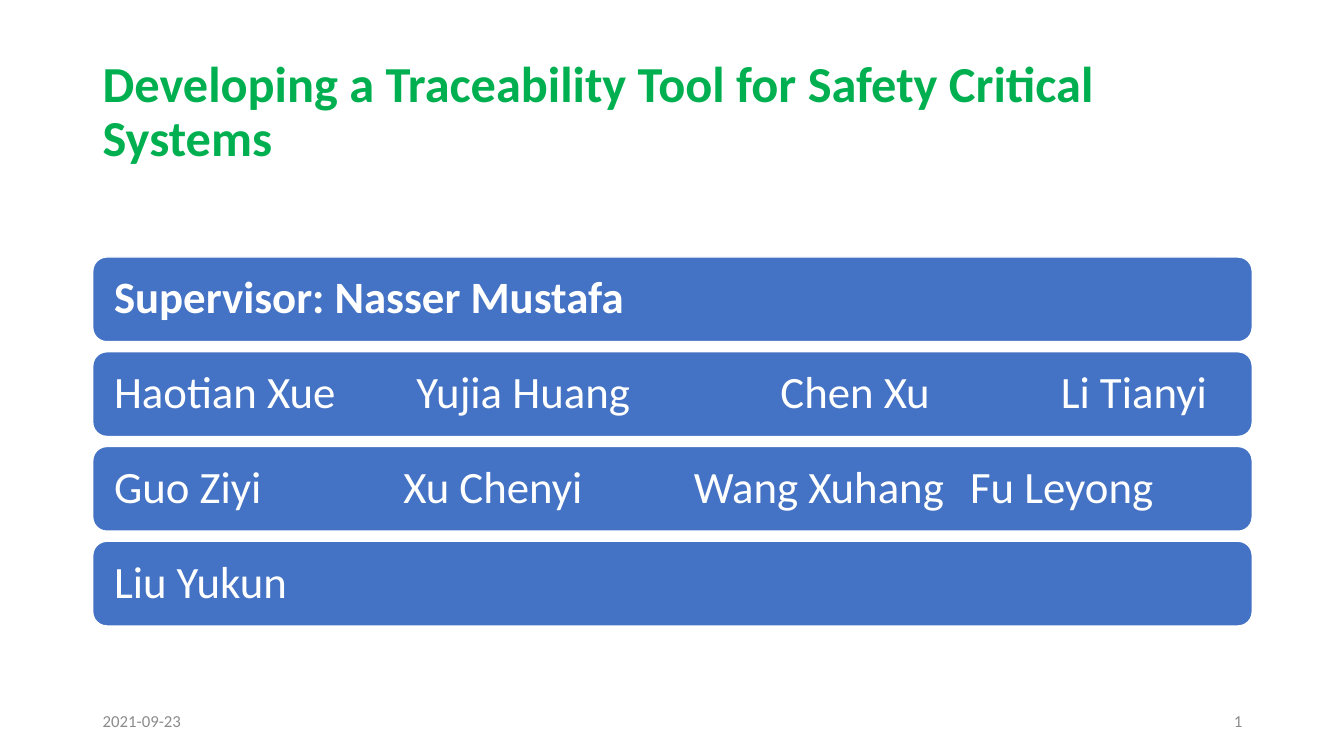
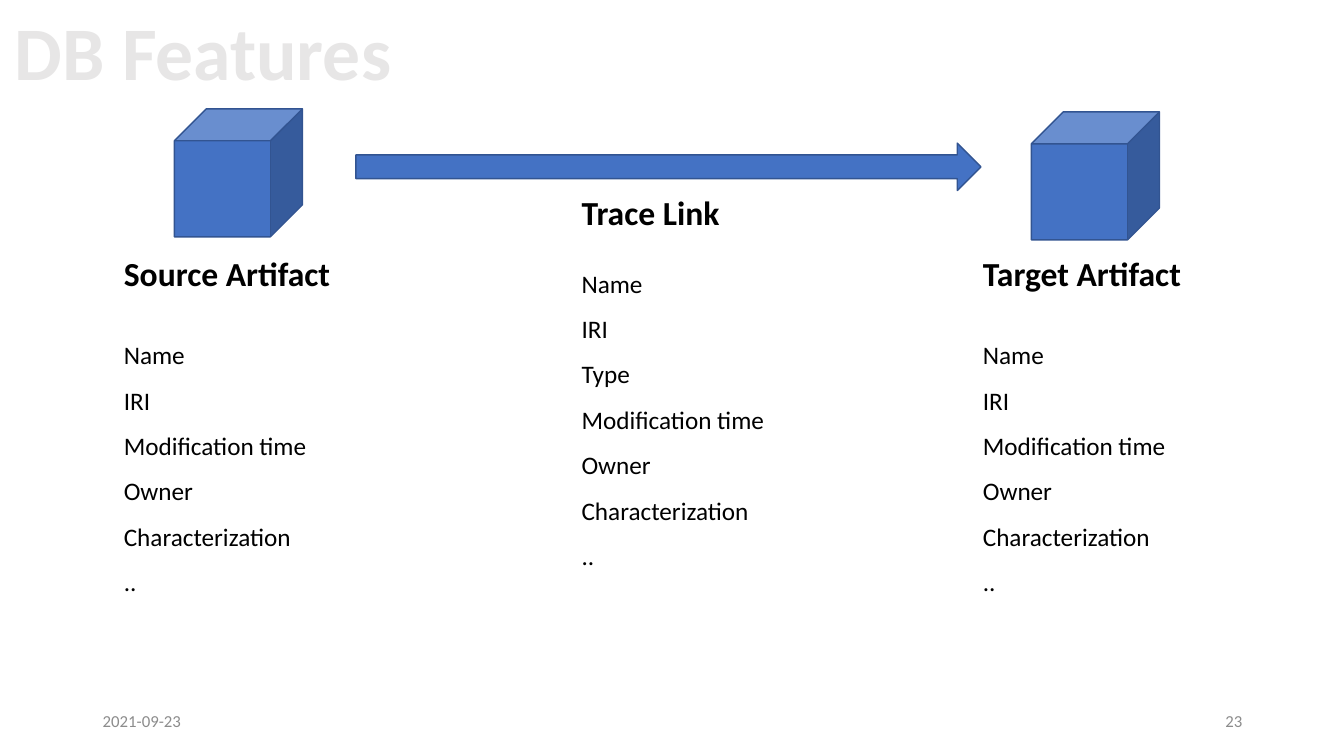
from dataclasses import dataclass

from lxml.etree import SubElement
from pptx import Presentation
from pptx.dml.color import RGBColor
from pptx.enum.shapes import MSO_SHAPE
from pptx.enum.text import MSO_ANCHOR, PP_ALIGN
from pptx.oxml.ns import qn
from pptx.util import Inches, Pt


@dataclass(frozen=True)
class Theme:
    font: str = "Calibri"
    blue: str = "4472C4"
    edge: str = "325491"
    white: str = "FFFFFF"
    title: tuple = (36, "00B050", True)
    banner: tuple = (54, "E7E6E6", True)
    lead: tuple = (32, "FFFFFF", True)
    member: tuple = (32, "FFFFFF", False)
    head: tuple = (24, "000000", True)
    field: tuple = (18, "000000", False)
    foot: tuple = (12, "8C8C8C", False)


THEME = Theme()
WIDE, HIGH = 13.33, 7.5
EDGE, SPAN = 0.92, 11.5
DATE = "2021-09-23"

TITLE = "Developing a Traceability Tool for Safety Critical Systems"
# Names in a bar, then the tab stops (inches) of all but the first name
TEAM = [
    (THEME.lead, ["Supervisor: Nasser Mustafa"], []),
    (THEME.member, ["Haotian Xue", "Yujia Huang", "Chen Xu", "Li Tianyi"],
     [3, 6.61, 9.39]),
    (THEME.member, ["Guo Ziyi", "Xu Chenyi", "Wang Xuhang", "Fu Leyong"],
     [2.87, 5.75, 8.49]),
    (THEME.member, ["Liu Yukun"], []),
]
BAR = {"top": 2.55, "high": 0.84, "step": 0.94}

BANNER = "DB Features"
FIELDS = ["Name", "IRI", "Modification time", "Owner", "Characterization", ".."]
LINK = FIELDS[:2] + ["Type"] + FIELDS[2:]
# Heading, left, heading top, list top, list
LISTS = [
    ("Source Artifact", 1.13, 2.46, 3.17, FIELDS),
    ("Trace Link", 5.67, 1.85, 2.46, LINK),
    ("Target Artifact", 9.65, 2.46, 3.17, FIELDS),
]
SHAPES = [
    (MSO_SHAPE.CUBE, (1.73, 1.08, 1.27, 1.27)),
    (MSO_SHAPE.RIGHT_ARROW, (3.53, 1.42, 6.2, 0.47)),
    (MSO_SHAPE.CUBE, (10.23, 1.11, 1.27, 1.27)),
]


def write(shape, lines, style, tabs=(), anchor=MSO_ANCHOR.TOP, **form):
    """Fill a shape with one paragraph a line; form holds paragraph formats."""
    size, color, bold = style
    frame = shape.text_frame
    frame.word_wrap = True
    frame.vertical_anchor = anchor
    for i, line in enumerate(lines):
        para = frame.add_paragraph() if i else frame.paragraphs[0]
        if tabs:
            stops = SubElement(para._p.get_or_add_pPr(), qn("a:tabLst"))
            for tab in tabs:
                SubElement(stops, qn("a:tab"), pos=str(Inches(tab)), algn="l")
        for key, value in ({"alignment": PP_ALIGN.LEFT} | form).items():
            setattr(para, key, value)
        run = para.add_run()
        run.text = line
        look = {"name": THEME.font, "size": Pt(size), "bold": bold}
        for key, value in look.items():
            setattr(run.font, key, value)
        run.font.color.rgb = RGBColor.from_string(color)


def label(slide, place, lines, style, **form):
    write(slide.shapes.add_textbox(*map(Inches, place)), lines, style, **form)


def block(slide, kind, place, edge):
    shape = slide.shapes.add_shape(kind, *map(Inches, place))
    shape.shadow.inherit = False
    shape.fill.solid()
    shape.fill.fore_color.rgb = RGBColor.from_string(THEME.blue)
    shape.line.color.rgb = RGBColor.from_string(edge)
    shape.line.width = Pt(1)
    return shape


def start(deck, page):
    """Add a blank slide with its date and page number."""
    slide = deck.slides.add_slide(deck.slide_layouts[6])
    wide = 3
    for text, left, side in ((DATE, EDGE, PP_ALIGN.LEFT),
                             (page, EDGE + SPAN - wide, PP_ALIGN.RIGHT)):
        label(slide, (left, 6.95, wide, 0.4), [text], THEME.foot,
              anchor=MSO_ANCHOR.MIDDLE, alignment=side)
    return slide


def cover(deck):
    slide = start(deck, "1")
    label(slide, (EDGE, 0.4, SPAN, 1.45), [TITLE], THEME.title,
          anchor=MSO_ANCHOR.MIDDLE, line_spacing=0.9)
    for i, (style, names, tabs) in enumerate(TEAM):
        place = EDGE, BAR["top"] + i * BAR["step"], SPAN, BAR["high"]
        bar = block(slide, MSO_SHAPE.ROUNDED_RECTANGLE, place, THEME.white)
        bar.text_frame.margin_left = Inches(0.17)
        write(bar, ["\t".join(names)], style, tabs,
              MSO_ANCHOR.MIDDLE, line_spacing=0.9)


def model(deck):
    slide = start(deck, "23")
    label(slide, (0.05, 0, 6, 1), [BANNER], THEME.banner)
    for kind, place in SHAPES:
        block(slide, kind, place, THEME.edge)
    for head, left, top, low, fields in LISTS:
        label(slide, (left, top, 2.48, 0.5), [head], THEME.head)
        label(slide, (left, low, 2.23, 0.46 * len(fields)), fields,
              THEME.field, line_spacing=1.5)


def main():
    deck = Presentation()
    deck.slide_width, deck.slide_height = Inches(WIDE), Inches(HIGH)
    cover(deck)
    model(deck)
    deck.save("out.pptx")


if __name__ == "__main__":
    main()
